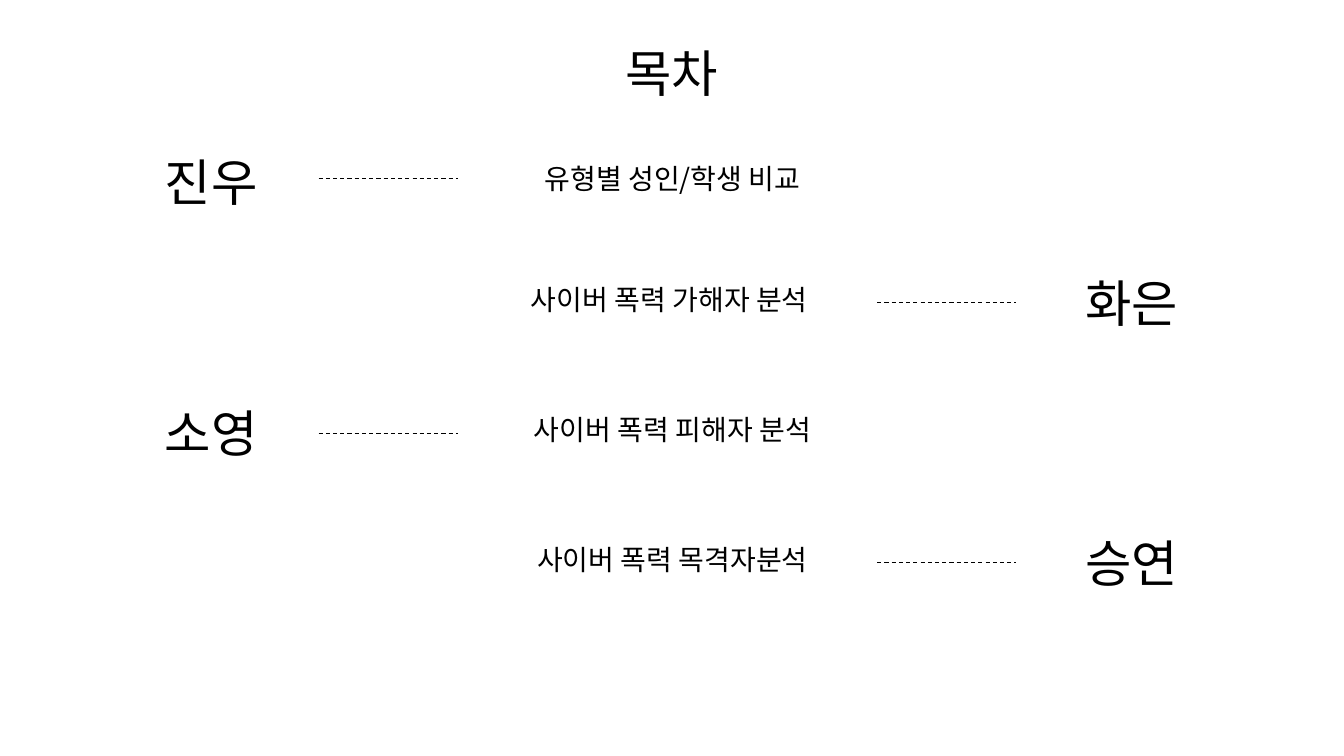
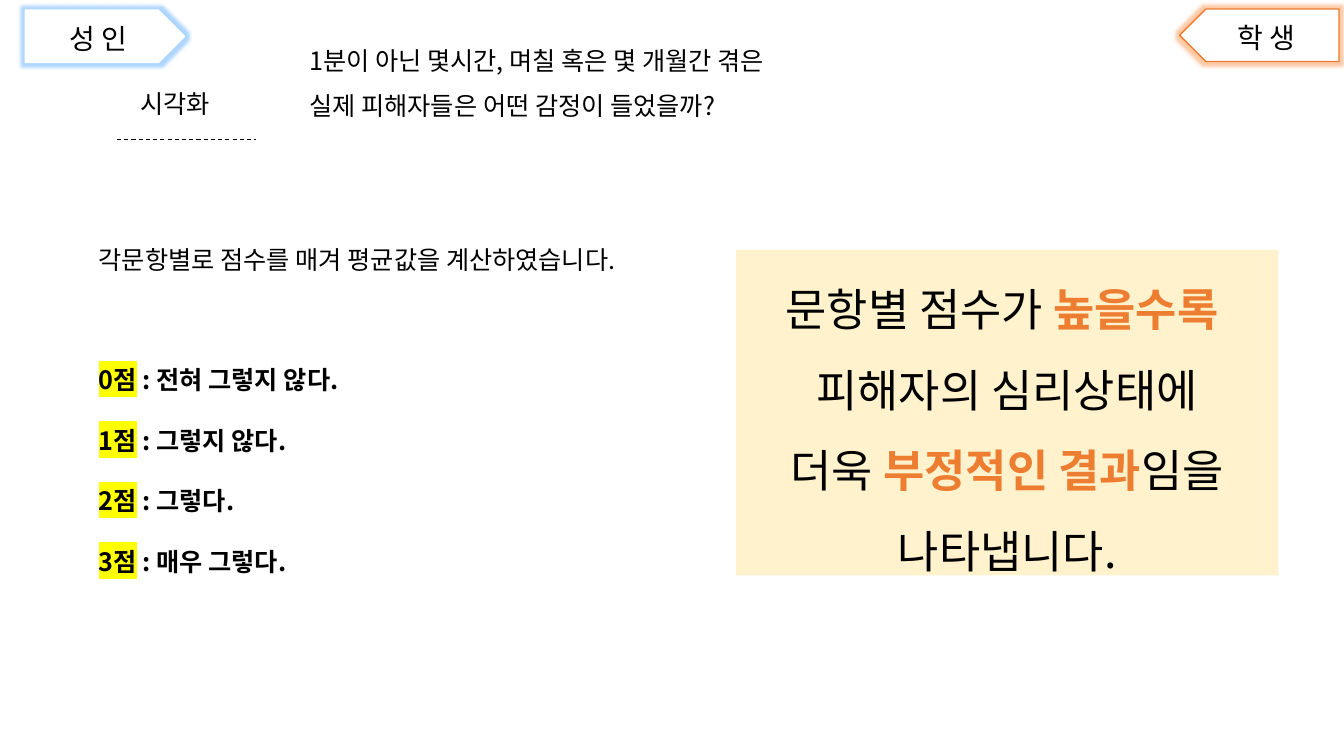
import lxml.etree
import pptx
import pptx.dml.color
import pptx.enum.dml
import pptx.enum.shapes
import pptx.enum.text
import pptx.oxml.ns
import pptx.util

RGBColor = pptx.dml.color.RGBColor
BLACK = RGBColor(0x00, 0x00, 0x00)
WHITE = RGBColor(0xFF, 0xFF, 0xFF)
ORANGE = RGBColor(0xED, 0x7D, 0x31)
CREAM = RGBColor(0xFF, 0xF2, 0xCC)
YELLOW = RGBColor(0xFF, 0xFF, 0x00)
BLUE_GLOW = RGBColor(0x33, 0x99, 0xFF)
ORANGE_GLOW = RGBColor(0xFF, 0x78, 0x1E)

FONT = "Noto Sans CJK KR"
PX = 9144
PAGE_WIDTH, PAGE_HEIGHT = 1333, 750
RULE_WIDTH = 138
NAME_WIDTH, NAME_HEIGHT = 213, 72
LEFT = pptx.enum.text.PP_ALIGN.LEFT
CENTER = pptx.enum.text.PP_ALIGN.CENTER
SHAPE = pptx.enum.shapes.MSO_SHAPE


def px(*lengths):
    """Turn px lengths into EMU."""
    return [pptx.util.Emu(length * PX) for length in lengths]


def add_xml(parent, tag, **attributes):
    """Append a drawing element to a parent element."""
    name = pptx.oxml.ns.qn(tag)
    return lxml.etree.SubElement(parent, name, attributes)


def style_span(span, size, bold=False, color=BLACK, highlight=None):
    """Format one run in the deck font."""
    font = span.font
    font.size = pptx.util.Pt(size)
    font.bold = bold
    font.color.rgb = color
    properties = span._r.get_or_add_rPr()
    if highlight is not None:
        add_xml(add_xml(properties, "a:highlight"), "a:srgbClr", val=str(highlight))
    font.name = FONT
    add_xml(properties, "a:ea", typeface=FONT)


def write(frame, lines, size, align=CENTER, spacing=1.0):
    """Fill a text frame with lines, each a string or a list of styled runs."""
    frame.word_wrap = True
    frame.auto_size = pptx.enum.text.MSO_AUTO_SIZE.NONE
    frame.vertical_anchor = pptx.enum.text.MSO_ANCHOR.TOP
    for index, line in enumerate(lines):
        para = frame.add_paragraph() if index else frame.paragraphs[0]
        properties = para._p.get_or_add_pPr()
        properties.set("marL", "0")
        properties.set("indent", "0")
        add_xml(properties, "a:buNone")
        para.alignment = align
        para.line_spacing = spacing
        para.space_before = pptx.util.Pt(0)
        for text, style in [(line, {})] if isinstance(line, str) else line:
            span = para.add_run()
            span.text = text
            style_span(span, size, **style)


def add_text(page, box, lines, size, **layout):
    """Add a text box."""
    label = page.shapes.add_textbox(*px(*box))
    write(label.text_frame, lines, size, **layout)
    return label


def fill_placeholder(holder, box, lines, size, **layout):
    """Move a template placeholder and fill it."""
    holder.left, holder.top, holder.width, holder.height = px(*box)
    write(holder.text_frame, lines, size, **layout)


def add_rule(page, left, top):
    """Add a thin dashed horizontal line."""
    rule = page.shapes.add_connector(
        pptx.enum.shapes.MSO_CONNECTOR.STRAIGHT,
        *px(left, top, left + RULE_WIDTH, top))
    rule.line.color.rgb = BLACK
    rule.line.width = pptx.util.Pt(0.75)
    rule.line.dash_style = pptx.enum.dml.MSO_LINE.DASH
    add_xml(rule._element.spPr, "a:effectLst")
    return rule


def add_shape(page, kind, box, fill, outline=None):
    """Add a flat preset shape."""
    shape = page.shapes.add_shape(kind, *px(*box))
    shape.shadow.inherit = False
    shape.fill.solid()
    shape.fill.fore_color.rgb = fill
    if outline is None:
        shape.line.fill.background()
    else:
        shape.line.color.rgb = outline
        shape.line.width = pptx.util.Pt(1)
    return shape


def add_tag(page, left, top, text, text_left, outline, glow, rotation):
    """Add a glowing pointed tag with its label."""
    tag = add_shape(page, SHAPE.PENTAGON, (left, top, 158, 52), WHITE, outline)
    tag.rotation = rotation
    effects = tag._element.spPr.find(pptx.oxml.ns.qn("a:effectLst"))
    halo = add_xml(effects, "a:glow", rad="63500")
    tint = add_xml(halo, "a:srgbClr", val=str(glow))
    add_xml(tint, "a:alpha", val="40000")
    add_text(page, (text_left, top + 6, 115, 43), [text], 20)


def add_contents_row(page, top, name, topic, on_left, rule_drop):
    """Add one topic with its presenter's name on the left or right."""
    name_left, rule_left = (103, 316) if on_left else (1016, 870)
    label = add_text(page, (name_left, top, NAME_WIDTH, NAME_HEIGHT), [name], 36)
    add_text(page, (408, top + 10, 518, 44), [topic], 20)
    rule = add_rule(page, rule_left, top + rule_drop)
    if on_left and rule_drop * 2 == NAME_HEIGHT:
        rule.begin_connect(label, 3)


def build_contents(deck):
    """Build the contents page."""
    page = deck.slides.add_slide(deck.slide_layouts[5])
    fill_placeholder(page.shapes.title, (560, 37, 213, 71), ["목차"], 36)
    rows = [
        (145, "진우", "유형별 성인/학생 비교", True, 32),
        (265, "화은", "사이버 폭력 가해자 분석 ", False, 35),
        (394, "소영", "사이버 폭력 피해자 분석", True, 36),
        (523, "승연", "사이버 폭력 목격자분석", False, 35),
    ]
    for row in rows:
        add_contents_row(page, *row)


def add_scoring(holder, box):
    """Fill the body with the scoring rule and its scale."""
    answers = ["전혀 그렇지 않다.", "그렇지 않다.", "그렇다.", "매우 그렇다."]
    scale = [
        [(f"{score}점", {"bold": True, "highlight": YELLOW}),
         (f" : {answer}", {"bold": True})]
        for score, answer in enumerate(answers)
    ]
    intro = "각문항별로 점수를 매겨 평균값을 계산하였습니다."
    fill_placeholder(holder, box, [intro, *scale], 18, align=LEFT, spacing=2.0)
    holder.text_frame.paragraphs[1].space_before = pptx.util.Pt(43)


def add_finding(page, box):
    """Add the cream panel that explains the score."""
    strong = {"bold": True, "color": ORANGE}
    panel = add_shape(page, SHAPE.RECTANGLE, box, CREAM)
    lines = [
        [("문항별 점수가 ", {}), ("높을수록 ", strong)],
        "피해자의 심리상태에",
        [("더욱 ", {}), ("부정적인 결과", strong), ("임을", {})],
        "나타냅니다.",
    ]
    write(panel.text_frame, lines, 32, spacing=1.5)


def build_visualization(deck):
    """Build the page on how the scores are read."""
    page = deck.slides.add_slide(deck.slide_layouts[1])
    fill_placeholder(page.shapes.title, (129, 83, 110, 40), ["시각화"], 18, align=LEFT)
    add_rule(page, 116, 138)
    question = ["1분이 아닌 몇시간, 며칠 혹은 몇 개월간 겪은",
                "실제 피해자들은 어떤 감정이 들었을까?"]
    add_text(page, (297, 25, 669, 99), question, 18, align=LEFT, spacing=1.5)
    add_tag(page, 25, 10, "성 인", 40, WHITE, BLUE_GLOW, 0)
    add_tag(page, 1170, 9, "학 생", 1199, ORANGE, ORANGE_GLOW, 180)
    add_scoring(page.placeholders[1], (88, 207, 611, 364))
    add_finding(page, (730, 248, 538, 323))


def main():
    """Build and save the deck."""
    deck = pptx.Presentation()
    deck.slide_width, deck.slide_height = px(PAGE_WIDTH, PAGE_HEIGHT)
    build_contents(deck)
    build_visualization(deck)
    deck.save("out.pptx")


if __name__ == "__main__":
    main()
